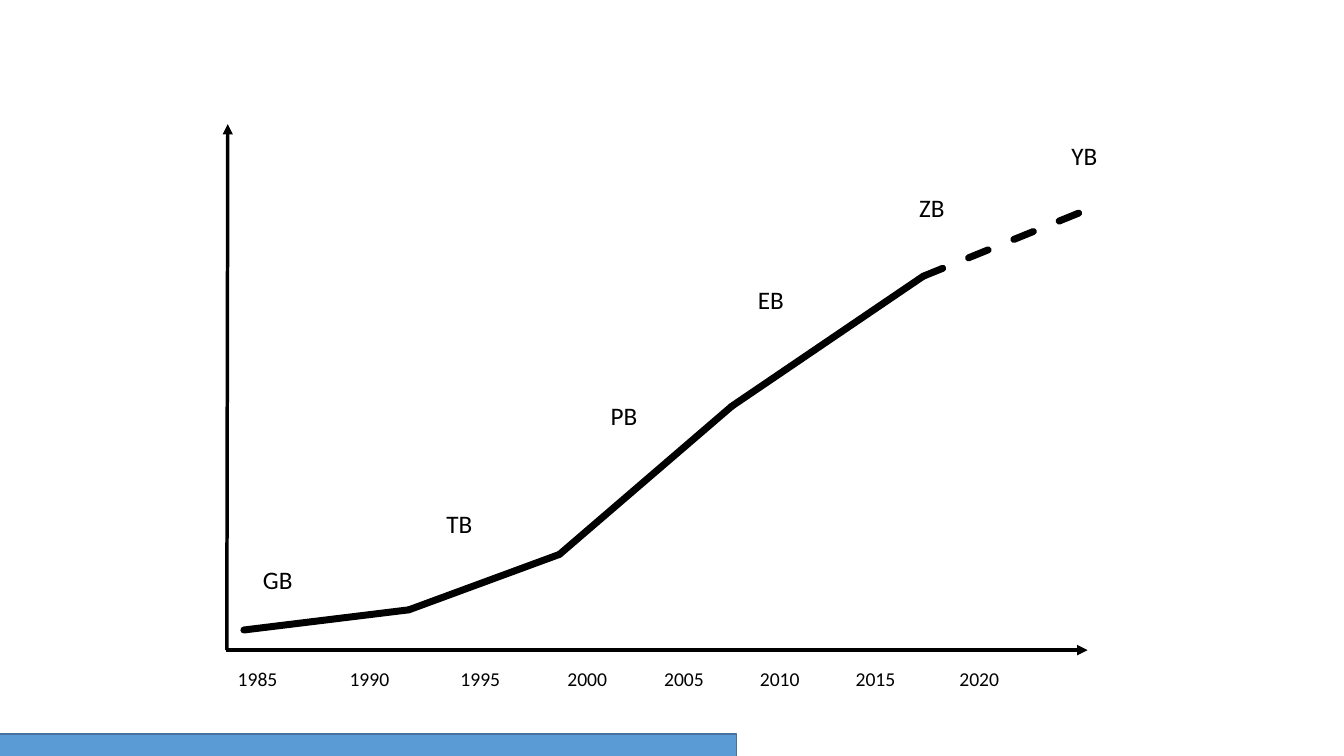
from lxml import etree
from pptx import Presentation
from pptx.dml.color import RGBColor
from pptx.enum import dml, shapes, text
from pptx.oxml import ns
from pptx.util import Pt

BLACK = RGBColor(0x00, 0x00, 0x00)
BLUE = RGBColor(0x5B, 0x9B, 0xD5)
DARK_BLUE = RGBColor(0x43, 0x73, 0x9E)
FONT = "Calibri"

UNITS = [
    ("GB", 180.7, 399.6),
    ("TB", 311.8, 359.3),
    ("PB", 429.1, 282.2),
    ("EB", 534.2, 199.4),
    ("ZB", 649.4, 133.9),
    ("YB", 758.2, 96.5),
]
YEARS = [
    ("1985", 162.7),
    ("1990", 242.6),
    ("1995", 321.8),
    ("2000", 398.2),
    ("2005", 467.3),
    ("2010", 535.7),
    ("2015", 604.1),
    ("2020", 678.2),
]
YEAR_TOP = 472.7
GROWTH = [
    (174.2, 450),
    (292, 435.6),
    (399.6, 396),
    (522.7, 290.2),
    (659.5, 197.3),
    (781.9, 147.6),
]
AXES = [
    ((161.3, 464.4), (776.9, 464.4)),
    ((162, 464.4), (162.7, 88.6)),
]
BAND = (-89.3, 524.2, 615.6, 368.6)


def add_line(slide, start, end, width):
    points = [Pt(value) for value in (*start, *end)]
    connector = slide.shapes.add_connector(shapes.MSO_CONNECTOR.STRAIGHT, *points)
    connector.line.color.rgb = BLACK
    connector.line.width = Pt(width)
    etree.SubElement(connector._element.spPr, ns.qn("a:effectLst"))
    return connector


def add_label(slide, wording, left, top, width, height, size):
    box = slide.shapes.add_textbox(Pt(left), Pt(top), Pt(width), Pt(height))
    frame = box.text_frame
    frame.word_wrap = True
    frame.auto_size = text.MSO_AUTO_SIZE.SHAPE_TO_FIT_TEXT
    frame.text = wording
    font = frame.paragraphs[0].runs[0].font
    font.name = FONT
    font.size = Pt(size)
    font.color.rgb = BLACK


def main():
    presentation = Presentation()
    presentation.slide_width = Pt(960)
    presentation.slide_height = Pt(540)
    slide = presentation.slides.add_slide(presentation.slide_layouts[6])

    band = slide.shapes.add_shape(
        shapes.MSO_SHAPE.RECTANGLE, *[Pt(value) for value in BAND]
    )
    band.shadow.inherit = False
    band.fill.solid()
    band.fill.fore_color.rgb = BLUE
    band.line.color.rgb = DARK_BLUE
    band.line.width = Pt(1)

    for start, end in AXES:
        axis = add_line(slide, start, end, 2.5)
        etree.SubElement(axis.line._ln, ns.qn("a:tailEnd"), type="triangle")

    for start, end in zip(GROWTH, GROWTH[1:]):
        segment = add_line(slide, start, end, 5)
        segment.line._ln.set("cap", "rnd")
        if end == GROWTH[-1]:
            segment.line.dash_style = dml.MSO_LINE.DASH

    for unit, left, top in UNITS:
        add_label(slide, unit, left, top, 37.4, 28.8, 18)
    for year, left in YEARS:
        add_label(slide, year, left, YEAR_TOP, 55.4, 24.5, 14)

    presentation.save("out.pptx")


if __name__ == "__main__":
    main()
